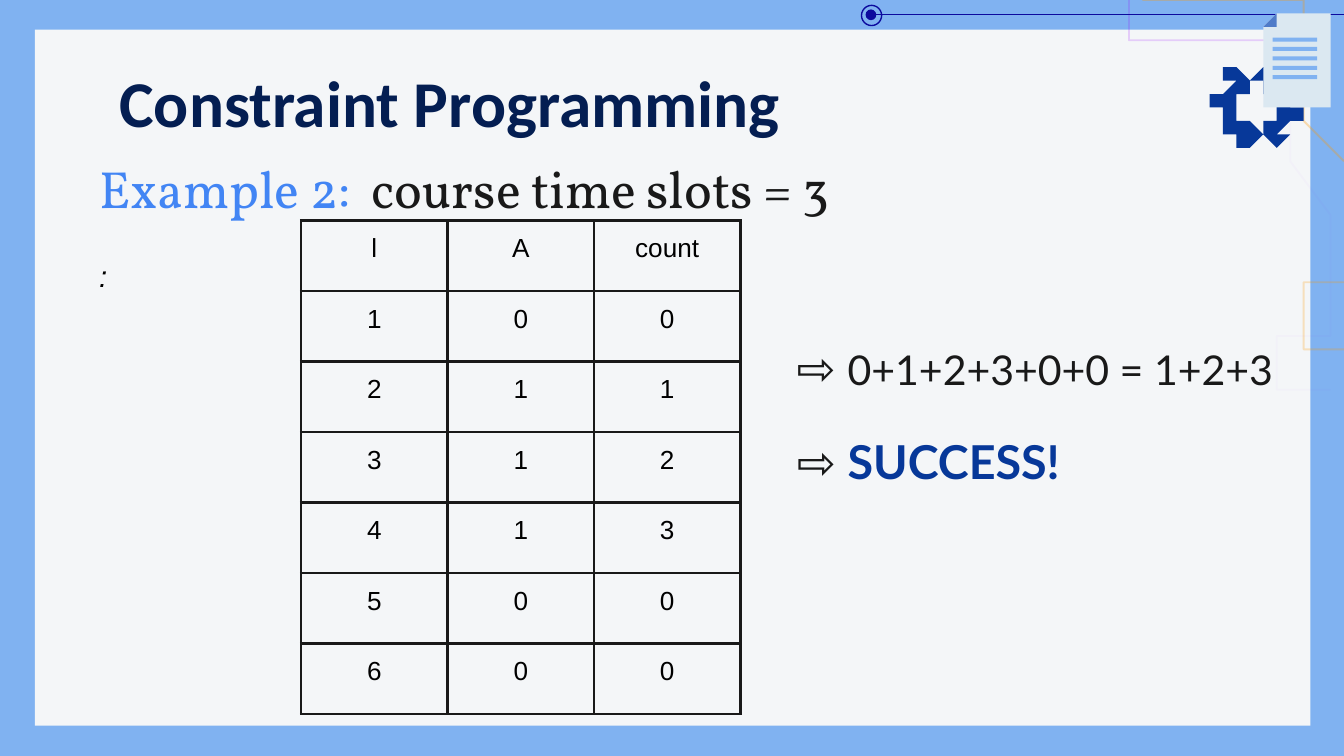
from math import cos, radians, sin

from lxml import etree
from pptx import Presentation
from pptx.dml.color import RGBColor
from pptx.enum.shapes import MSO_CONNECTOR, MSO_SHAPE
from pptx.enum.text import MSO_ANCHOR, PP_ALIGN
from pptx.oxml.ns import qn
from pptx.util import Inches, Pt

RECTANGLE, OVAL = MSO_SHAPE.RECTANGLE, MSO_SHAPE.OVAL
STRAIGHT = MSO_CONNECTOR.STRAIGHT
TOP, BOTTOM = MSO_ANCHOR.TOP, MSO_ANCHOR.BOTTOM
CENTER = PP_ALIGN.CENTER

COLORS = {
    "sky": "80B2F1", "panel": "F4F6F8", "indigo": "0C0A9E", "blue": "073899",
    "navy": "041E52", "example": "4285F4", "ink": "191919", "black": "000000",
    "sheet": "DBE8F1", "fold": "4F7BC8", "purple": "9900FF", "orange": "FF9900",
}


def color(name):
    return RGBColor.from_string(COLORS[name])


def grid(*cells):
    """Turn grid columns and rows (ten to the inch) into lengths."""
    return [Inches(cell / 10) for cell in cells]


def ring(center, radius, angles):
    """Points around a center; angles run clockwise from the top."""
    x, y = center
    return [(x + radius * sin(radians(a)), y - radius * cos(radians(a))) for a in angles]


class SlideBuilder:
    def __init__(self, page):
        self.page = page
        page.background.fill.solid()
        page.background.fill.fore_color.rgb = color("sky")

    def paint(self, shape, fill=None, line=None, width=0.75):
        shape.shadow.inherit = False
        if fill:
            shape.fill.solid()
            shape.fill.fore_color.rgb = color(fill)
        else:
            shape.fill.background()
        if line:
            shape.line.color.rgb = color(line)
            shape.line.width = Pt(width)
        else:
            shape.line.fill.background()
        return shape

    def shape(self, kind, place, **style):
        return self.paint(self.page.shapes.add_shape(kind, *grid(*place)), **style)

    def outline(self, *contours, closed=True, **style):
        first, *others = contours
        builder = self.page.shapes.build_freeform(*first[0], scale=Inches(0.1))
        builder.add_line_segments(first[1:], close=closed)
        for points in others:
            builder.move_to(*points[0])
            builder.add_line_segments(points[1:], close=closed)
        return self.paint(builder.convert_to_shape(), **style)

    def trace(self, points, line, opacity):
        """Faint circuit line behind the content."""
        path_shape = self.outline(points, closed=False, line=line, width=1)
        tint = path_shape.line.color._xFill.find(qn("a:srgbClr"))
        etree.SubElement(tint, qn("a:alpha"), val=str(opacity * 1000))

    def line(self, start, end, name):
        connector = self.page.shapes.add_connector(STRAIGHT, *grid(*start, *end))
        connector.line.color.rgb = color(name)
        connector.line.width = Pt(0.75)
        etree.SubElement(connector._element.spPr, qn("a:effectLst"))

    def text(self, place, spans, font, anchor=TOP, bold=False, italic=False):
        """Each span is (wording, size, color, bold)."""
        frame = self.page.shapes.add_textbox(*grid(*place)).text_frame
        frame.word_wrap = True
        frame.vertical_anchor = anchor
        frame.margin_top = frame.margin_bottom = Inches(0.1)
        para = frame.paragraphs[0]
        para.font.name, para.font.bold, para.font.italic = font, bold, italic
        for wording, size, name, strong in spans:
            span = para.add_run()
            span.text = wording
            span.font.size = Pt(size)
            span.font.color.rgb = color(name)
            if strong:
                span.font.bold = True

    def table(self, place, rows):
        table = self.page.shapes.add_table(len(rows), len(rows[0]), *grid(*place)).table
        table.first_row = table.horz_banding = False
        for r, values in enumerate(rows):
            for c, value in enumerate(values):
                self.cell(table.cell(r, c), value)

    def cell(self, cell, value):
        cell.margin_top = cell.margin_bottom = Inches(0.1)
        para = cell.text_frame.paragraphs[0]
        para.text = str(value)
        para.alignment = CENTER
        para.font.name, para.font.size = "Arial", Pt(14)
        para.font.color.rgb = color("black")
        properties = cell._tc.get_or_add_tcPr()
        for side in ("lnL", "lnR", "lnT", "lnB"):
            border = etree.SubElement(properties, qn(f"a:{side}"), w=str(Pt(1.5)))
            fill = etree.SubElement(border, qn("a:solidFill"))
            etree.SubElement(fill, qn("a:srgbClr"), val=COLORS["ink"])
        cell.fill.background()


def main():
    deck = Presentation()
    deck.slide_width, deck.slide_height = Inches(10), Inches(5.625)
    slide = SlideBuilder(deck.slides.add_slide(deck.slide_layouts[6]))

    # Panel and circuit decoration
    slide.shape(RECTANGLE, (2.6, 2.2, 94.9, 51.8), fill="panel")
    slide.trace([(84.35, 0), (84.35, 3.1), (84.7, 3.35), (95.8, 3.35), (96.15, 3.7)],
                "purple", 17)
    slide.trace([(96.15, 3.7), (96.15, 12.4), (99.15, 15.7), (99.15, 24.2), (98.8, 24.6),
                 (95.8, 24.6), (95.45, 25), (95.45, 28.7), (95.8, 29.05), (98.8, 29.05)],
                "purple", 2)
    slide.trace([(85.45, 0), (85.8, 0.15), (96.9, 0.15), (97.25, 0.5), (97.25, 9.2),
                 (100, 12.2)], "orange", 30)
    slide.trace([(100, 21.4), (96.9, 21.4), (96.6, 21.8), (96.6, 25.5), (96.9, 25.85),
                 (100, 25.85)], "orange", 24)
    slide.shape(OVAL, (64.1, 0.4, 1.5, 1.5), line="indigo")
    slide.line((100, 1.1), (65.2, 1.1), "indigo")
    slide.shape(OVAL, (64.4, 0.7, 0.8, 0.8), fill="indigo")

    # Gear with eight teeth
    hub = (93.55, 7.9)
    teeth = []
    for tooth in range(8):
        middle = 12 + 45 * tooth
        for radius, offset in ((2.5, -13), (3.1, -9), (3.3, -6),
                               (3.3, 6), (3.1, 9), (2.5, 13)):
            teeth += ring(hub, radius, [middle + offset])
    slide.outline(teeth, ring(hub, 1.6, range(0, 360, 10)), fill="blue")

    # Document sheet
    slide.outline([(94.7, 0.8), *ring((98.6, 1.3), 0.5, range(0, 91, 15)),
                   *ring((98.6, 7.4), 0.5, range(90, 181, 15)),
                   *ring((94, 7.4), 0.5, range(180, 271, 15)), (93.5, 2.2)], fill="sheet")
    slide.outline([(94.7, 0.8), *ring((94.3, 1.8), 0.4, range(90, 181, 15)),
                   (93.5, 2.2)], fill="fold")
    for bar in range(5):
        slide.shape(RECTANGLE, (94.7, 2.8 + 0.7 * bar, 3.3, 0.3), fill="sky")

    # Title and example
    slide.text((7.9, 3.6, 84.3, 7), [("Constraint Programming", 35, "navy", False)],
               "Calibri", bold=True)
    slide.text((6.4, 17.7, 69.3, 5.1), [(":", 15.8, "black", False)],
               "Arial", anchor=BOTTOM, italic=True)
    slide.text((6.4, 10.6, 64.7, 5.1),
               [("Example 2: ", 28, "example", False),
                (" course time slots = 3", 28, "ink", False)], "Vollkorn")

    # Slot assignments with running count
    assigned = [(0, 0), (1, 1), (1, 2), (1, 3), (0, 0), (0, 0)]
    rows = [("l", "A", "count")]
    rows += [(slot, *values) for slot, values in enumerate(assigned, 1)]
    slide.table((22.4, 16.4, 32.7, 36.75), rows)

    # Conclusion
    arrow = ("⇨ ", 25, "ink", False)
    slide.text((58.3, 24.2, 37.6, 6.2),
               [arrow, ("0+1+2+3+0+0 = 1+2+3", 22, "ink", False)], "Lato")
    slide.text((58.3, 31.2, 23.5, 7.1), [arrow, ("SUCCESS!", 25, "blue", True)], "Lato")

    deck.save("out.pptx")


if __name__ == "__main__":
    main()
